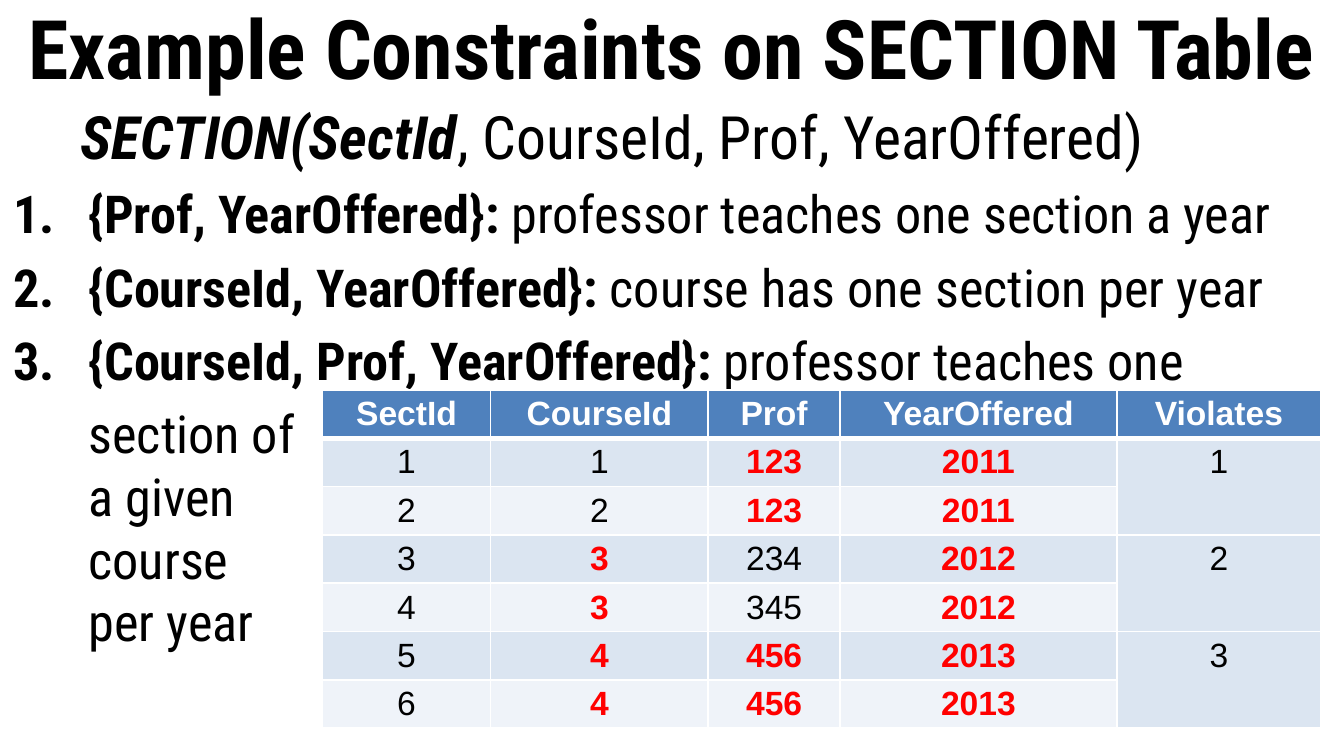
from lxml import etree
from pptx import Presentation
from pptx import util as u
from pptx.dml.color import RGBColor
from pptx.enum import text
from pptx.oxml import ns

COLORS = {"ink": "000000", "paper": "FFFFFF", "header": "4F81BD",
          "odd": "DBE5F1", "even": "EFF3F9", "key": "FF0000"}
SLIDE_WIDTH = 10
SLIDE_HEIGHT = SLIDE_WIDTH * 9 / 16
TITLE_HEIGHT = 0.69
HEADINGS = ["SectId", "CourseId", "Prof", "YearOffered", "Violates"]
WIDTHS = [1.25, 1.62, 0.98, 2.06, 1.52]
SECTIONS = [(1, 1, 123, 2011), (2, 2, 123, 2011), (3, 3, 234, 2012),
            (4, 3, 345, 2012), (5, 4, 456, 2013), (6, 4, 456, 2013)]
CONSTRAINTS = [
    (["Prof", "YearOffered"], "professor teaches one section a year"),
    (["CourseId", "YearOffered"], "course has one section per year"),
    (["CourseId", "Prof", "YearOffered"], "professor teaches one"),
]


def add_text(paragraph, wording, size=28, font="Roboto Condensed", color="ink",
             bold=False, italic=False):
    """Append a formatted run to a paragraph."""
    run = paragraph.add_run()
    run.text = wording
    run.font.size = u.Pt(size)
    run.font.name = font
    run.font.bold = bold
    run.font.italic = italic
    run.font.color.rgb = RGBColor.from_string(COLORS[color])


def set_box(placeholder, box, anchor):
    """Place a placeholder in its box and return its text frame."""
    placeholder.left, placeholder.top, placeholder.width, placeholder.height = map(u.Inches, box)
    frame = placeholder.text_frame
    frame.word_wrap = True
    frame.auto_size = text.MSO_AUTO_SIZE.NONE
    frame.vertical_anchor = anchor
    return frame


def format_list_item(paragraph, margin, indent, before=5.6, numbered=False):
    """Set the spacing, indents and numbering of a body paragraph."""
    paragraph.level = int(numbered)
    paragraph.space_before = u.Pt(before)
    properties = paragraph._p.get_or_add_pPr()
    properties.set("marL", str(u.Inches(margin)))
    properties.set("indent", str(u.Inches(indent)))
    if numbered:
        etree.SubElement(properties, ns.qn("a:buFontTx"))
        etree.SubElement(properties, ns.qn("a:buAutoNum"), type="arabicPeriod")
    else:
        etree.SubElement(properties, ns.qn("a:buNone"))


def add_title(slide, box):
    """Fill the title placeholder."""
    heading = set_box(slide.shapes.title, box, text.MSO_ANCHOR.MIDDLE).paragraphs[0]
    heading.alignment = text.PP_ALIGN.CENTER
    add_text(heading, "Example Constraints on SECTION Table", size=44, bold=True)


def add_constraints(slide, box):
    """Fill the body with the schema and its numbered constraints."""
    body = set_box(slide.placeholders[1], box, text.MSO_ANCHOR.TOP)
    schema = body.paragraphs[0]
    format_list_item(schema, 0.88, -0.38, before=0)
    add_text(schema, "SECTION(SectId", size=32, bold=True, italic=True)
    add_text(schema, ", CourseId, Prof, YearOffered)", size=32)
    for columns, meaning in CONSTRAINTS:
        constraint = body.add_paragraph()
        format_list_item(constraint, 0.56, -0.56, numbered=True)
        add_text(constraint, "{" + ", ".join(columns) + "}: ", bold=True)
        add_text(constraint, meaning)
    continuation = body.add_paragraph()
    format_list_item(continuation, 0.56, 0)
    for number, line in enumerate(["section of", "a given", "course", "per year"]):
        if number:
            continuation.add_line_break()
        add_text(continuation, line)


def fill_cell(cell, wording, fill, bottom=1, **style):
    """Write a centred table cell with its fill and white borders."""
    cell.margin_left = cell.margin_right = u.Inches(0.16)
    cell.margin_top = cell.margin_bottom = u.Inches(0.04)
    entry = cell.text_frame.paragraphs[0]
    entry.alignment = text.PP_ALIGN.CENTER
    if wording:
        add_text(entry, wording, size=18, font="Arial", **style)
    properties = cell._tc.get_or_add_tcPr()
    for side, width in [("L", 1), ("R", 1), ("T", 1), ("B", bottom)]:
        border = etree.SubElement(properties, ns.qn(f"a:ln{side}"), w=str(u.Pt(width)))
        paint = etree.SubElement(border, ns.qn("a:solidFill"))
        etree.SubElement(paint, ns.qn("a:srgbClr"), val=COLORS["paper"])
    cell.fill.solid()
    cell.fill.fore_color.rgb = RGBColor.from_string(COLORS[fill])


def add_sections(slide, box):
    """Add the table in which each pair of rows violates one constraint."""
    table = slide.shapes.add_table(len(SECTIONS) + 1, len(HEADINGS), *map(u.Inches, box)).table
    for column, width in zip(table.columns, WIDTHS):
        column.width = u.Inches(width)
    for col, heading in enumerate(HEADINGS):
        fill_cell(table.cell(0, col), heading, "header", bottom=3, color="paper", bold=True)
    for row, section in enumerate(SECTIONS, start=1):
        violated, second = divmod(row - 1, 2)
        keys = CONSTRAINTS[violated][0]
        for col, value in enumerate(section):
            is_key = HEADINGS[col] in keys
            fill_cell(table.cell(row, col), str(value), "even" if second else "odd",
                      color="key" if is_key else "ink", bold=is_key)
        fill_cell(table.cell(row, 4), "" if second else str(violated + 1), "odd")
        if second:
            table.cell(row - 1, 4).merge(table.cell(row, 4))


def main():
    """Build and save the slide."""
    deck = Presentation()
    deck.slide_width, deck.slide_height = u.Inches(SLIDE_WIDTH), u.Inches(SLIDE_HEIGHT)
    slide = deck.slides.add_slide(deck.slide_layouts[1])
    add_title(slide, (0, 0, SLIDE_WIDTH, TITLE_HEIGHT))
    add_constraints(slide, (0, TITLE_HEIGHT, SLIDE_WIDTH, SLIDE_HEIGHT - TITLE_HEIGHT))
    add_sections(slide, (2.4, 2.9, sum(WIDTHS), 0.3 * (len(SECTIONS) + 1)))
    deck.save("out.pptx")


if __name__ == "__main__":
    main()
